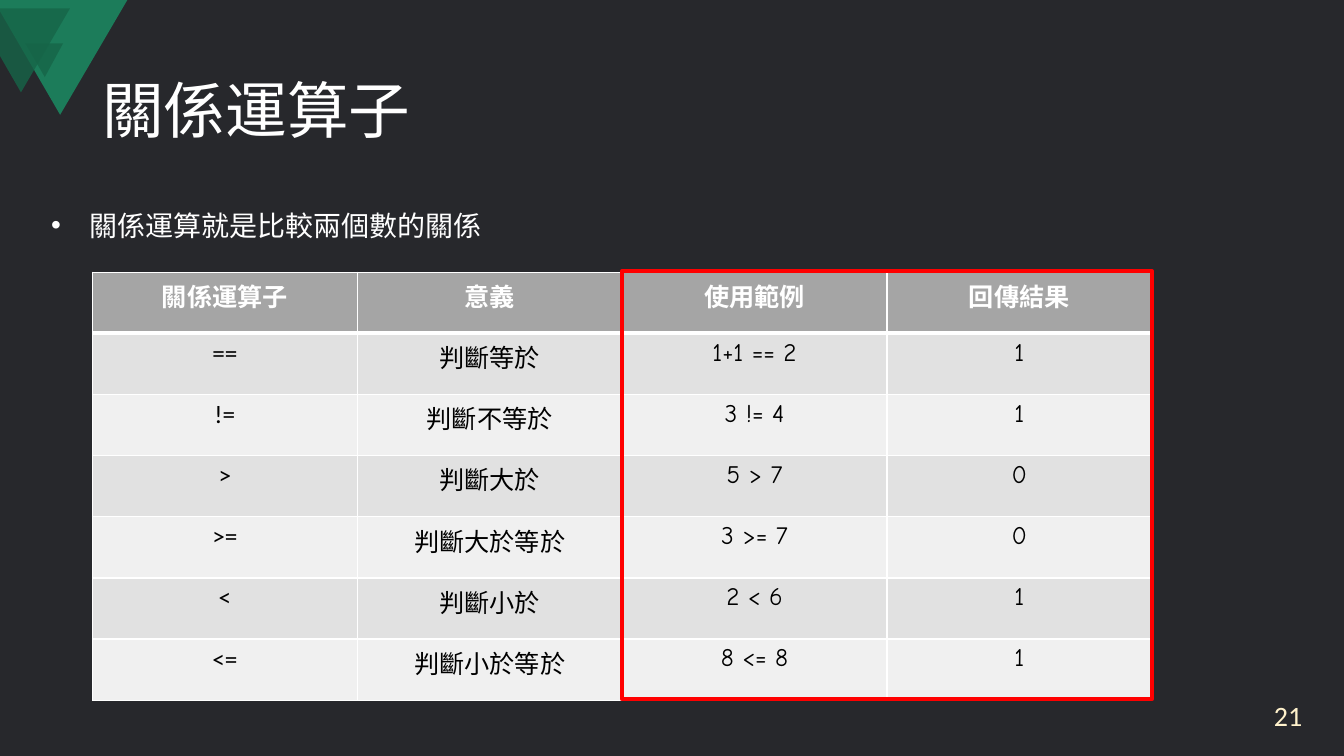
"""Build the slide on relational operators with its table and highlighted columns."""
from pptx import Presentation
from pptx import util as u
from pptx.dml import color
from pptx.enum import shapes, text
from pptx.oxml import parse_xml
from pptx.oxml import ns

BACKGROUND = color.RGBColor(0x27, 0x28, 0x2C)
GREEN = color.RGBColor(0x1C, 0x7C, 0x5A)
DARK_GREEN = color.RGBColor(0x16, 0x65, 0x48)
WHITE = color.RGBColor(0xFF, 0xFF, 0xFF)
BLACK = color.RGBColor(0x00, 0x00, 0x00)
RED = color.RGBColor(0xFF, 0x00, 0x00)
CREAM = color.RGBColor(0xFF, 0xF2, 0xCC)
HEADER_GREY = color.RGBColor(0xA5, 0xA5, 0xA5)
BAND_GREYS = [color.RGBColor(0xF0, 0xF0, 0xF0), color.RGBColor(0xE1, 0xE1, 0xE1)]


def write(paragraph, wording, alignment, tint, **formats):
    """Fill a paragraph with one formatted run."""
    paragraph.alignment = alignment
    run = paragraph.add_run()
    run.text = wording
    run.font.color.rgb = tint
    for name, value in formats.items():
        setattr(run.font, name, value)


def paint(shape, tint, alpha=None):
    """Give a shape a flat fill without outline or shadow."""
    shape.shadow.inherit = False
    shape.line.fill.background()
    shape.fill.solid()
    shape.fill.fore_color.rgb = tint
    if alpha:
        fill_color = shape.fill._xPr.find(ns.qn("a:solidFill"))[0]
        fill_color.append(parse_xml(f'<a:alpha {ns.nsdecls("a")} val="{alpha * 1000}"/>'))


presentation = Presentation()
presentation.slide_width, presentation.slide_height = u.Pt(960), u.Pt(540)
slide = presentation.slides.add_slide(presentation.slide_layouts[6])
slide.background.fill.solid()
slide.background.fill.fore_color.rgb = BACKGROUND

large_corner = [(0, 0), (91, 0), (43.2, 82.5), (0, 8.5)]
left_corner = [(0, 6.5), (49.7, 6.5), (15.1, 66), (0, 40.3)]
small_triangle = [(18, 31), (45.4, 31), (31.7, 54.7)]
for points, tint, alpha in [
    (large_corner, GREEN, None),
    (small_triangle, DARK_GREEN, 80),
    (left_corner, DARK_GREEN, 80),
]:
    builder = slide.shapes.build_freeform(*points[0], scale=u.Pt(1))
    builder.add_line_segments(points[1:], close=True)
    paint(builder.convert_to_shape(), tint, alpha)

LEFT, CENTER, RIGHT = text.PP_ALIGN.LEFT, text.PP_ALIGN.CENTER, text.PP_ALIGN.RIGHT
TOP, MIDDLE = text.MSO_ANCHOR.TOP, text.MSO_ANCHOR.MIDDLE
for wording, box, anchor, alignment, spacing, tint, size, font in [
    ("關係運算子", (66, 28.8, 828, 104.4), MIDDLE, LEFT, 0.9, WHITE, 44, "Comic Neue"),
    ("關係運算就是比較兩個數的關係", (29.5, 133.2, 900, 39.6), TOP, LEFT, 1.5, WHITE, 20, "Roboto"),
    ("21", (721.4, 496.8, 216, 28.8), MIDDLE, RIGHT, 1, CREAM, 20, "Calibri"),
]:
    frame = slide.shapes.add_textbox(*map(u.Pt, box)).text_frame
    frame.word_wrap = True
    frame.vertical_anchor = anchor
    paragraph = frame.paragraphs[0]
    paragraph.line_spacing = spacing
    write(paragraph, wording, alignment, tint, size=u.Pt(size), name=font)
    if font == "Roboto":
        properties = paragraph._p.get_or_add_pPr()
        properties.set("marL", str(u.Pt(27)))
        properties.set("indent", str(u.Pt(-27)))
        properties.append(parse_xml(f'<a:buFont {ns.nsdecls("a")} typeface="Arial"/>'))
        properties.append(parse_xml(f'<a:buChar {ns.nsdecls("a")} char="•"/>'))

operators = [
    ("關係運算子", "意義", "使用範例", "回傳結果"),
    ("==", "判斷等於", "1+1 == 2", "1"),
    ("!=", "判斷不等於", "3 != 4", "1"),
    (">", "判斷大於", "5 > 7", "0"),
    (">=", "判斷大於等於", "3 >= 7", "0"),
    ("<", "判斷小於", "2 < 6", "1"),
    ("<=", "判斷小於等於", "8 <= 8", "1"),
]
table = slide.shapes.add_table(
    len(operators), 4, u.Pt(66), u.Pt(194.4), u.Pt(756.8), u.Pt(305.9)
).table
for column in table.columns:
    column.width = u.Pt(189.2)
for row_index, values in enumerate(operators):
    table.rows[row_index].height = u.Pt(43.7)
    header = row_index == 0
    for column_index, wording in enumerate(values):
        cell = table.cell(row_index, column_index)
        font = "Calibri" if column_index == 0 and not header else "Comic Neue"
        write(cell.text_frame.paragraphs[0], wording, CENTER, WHITE if header else BLACK,
              size=u.Pt(18), name=font, bold=header)
        widths = {"L": 1, "R": 1, "T": 3 if row_index == 1 else 1, "B": 3 if header else 1}
        for side, width in widths.items():
            cell._tc.get_or_add_tcPr().append(parse_xml(
                f'<a:ln{side} {ns.nsdecls("a")} w="{u.Pt(width)}"><a:solidFill>'
                f'<a:srgbClr val="{WHITE}"/></a:solidFill></a:ln{side}>'))
        cell.fill.solid()
        cell.fill.fore_color.rgb = HEADER_GREY if header else BAND_GREYS[row_index % 2]

highlight = slide.shapes.add_shape(
    shapes.MSO_SHAPE.RECTANGLE, u.Pt(444.2), u.Pt(193.7), u.Pt(378.7), u.Pt(305.7)
)
highlight.shadow.inherit = False
highlight.fill.background()
highlight.line.color.rgb = RED
highlight.line.width = u.Pt(3)

presentation.save("out.pptx")
